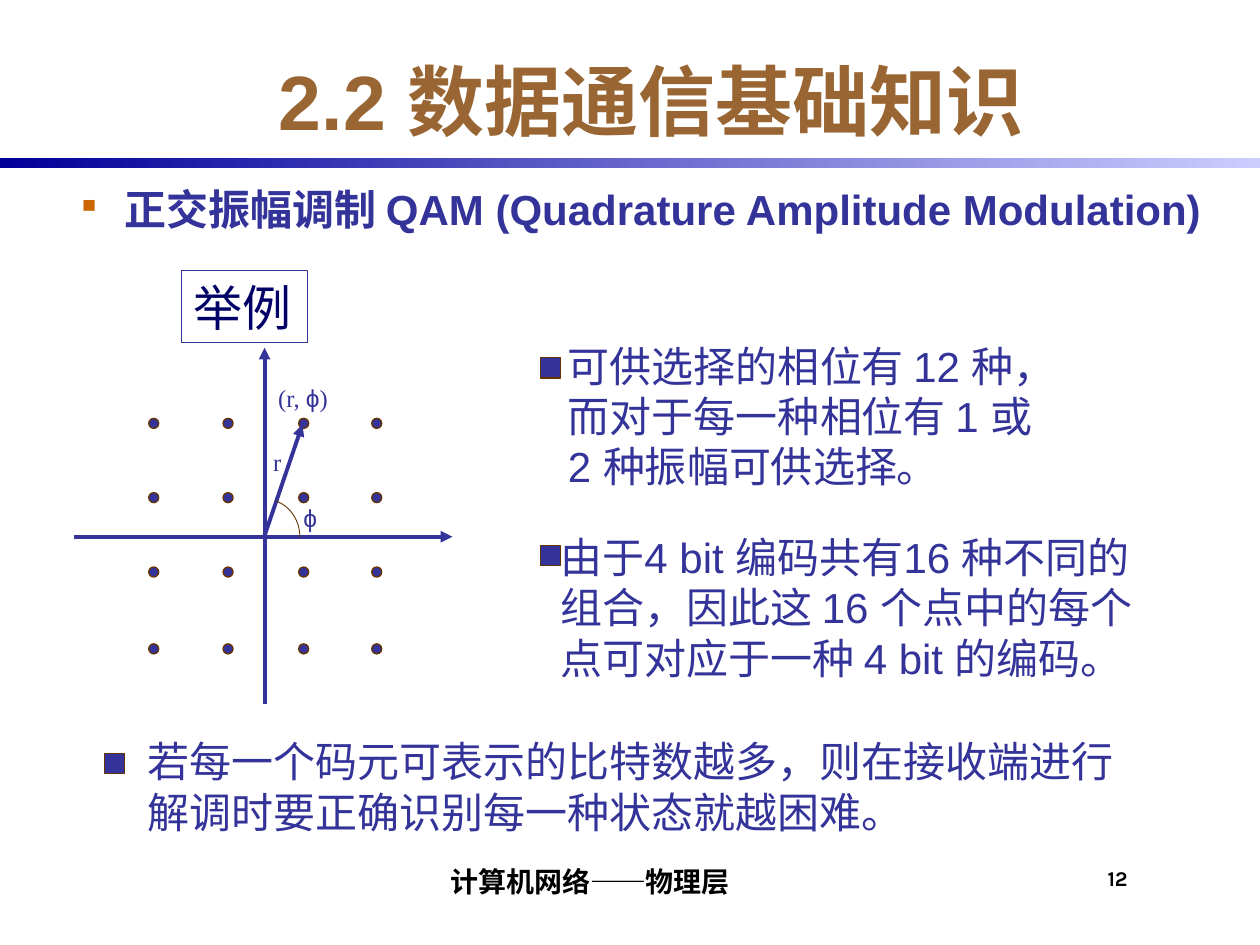
import math
from dataclasses import dataclass
from itertools import product

import lxml.etree
import pptx
import pptx.dml.color
import pptx.enum.dml
import pptx.enum.shapes
import pptx.enum.text
import pptx.oxml.ns
import pptx.slide
import pptx.text.text
import pptx.util

Inches = pptx.util.Inches
Pt = pptx.util.Pt
RGBColor = pptx.dml.color.RGBColor
Align = pptx.enum.text.PP_ALIGN
Anchor = pptx.enum.text.MSO_ANCHOR
Fit = pptx.enum.text.MSO_AUTO_SIZE
Kind = pptx.enum.shapes.MSO_SHAPE
qn = pptx.oxml.ns.qn

BLUE = RGBColor(0x33, 0x33, 0x99)
NAVY = RGBColor(0x00, 0x00, 0x66)
DEEP = RGBColor(0x00, 0x00, 0x99)
PALE = RGBColor(0xCC, 0xCC, 0xFF)
BROWN = RGBColor(0x66, 0x33, 0x00)
TAN = RGBColor(0x99, 0x66, 0x33)
BLACK = RGBColor(0x00, 0x00, 0x00)
HAN = "Noto Sans CJK SC"
SERIF = "Times New Roman"
INSETS = (0.1, 0.05, 0.1, 0.05)


@dataclass(frozen=True)
class Box:
    x: float
    y: float
    w: float
    h: float

    def place(self) -> tuple:
        return tuple(Inches(v) for v in (self.x, self.y, self.w, self.h))


@dataclass(frozen=True)
class Note:
    box: Box
    lines: tuple
    size: int = 24
    font: str = "Arial"


@dataclass(frozen=True)
class Arrow:
    start: tuple
    end: tuple


NOTES = (
    Note(Box(2.07, 3.5, 0.26, 0.34), ("r",), 14, SERIF),
    Note(Box(2.31, 3.94, 0.32, 0.34), ("ϕ",), 14),
    Note(Box(2.11, 2.99, 0.61, 0.34),
         ((("(r, ", SERIF), ("ϕ", "Arial"), (")", SERIF)),), 14),
    Note(Box(4.41, 2.65, 4.23, 1.3),
         ("可供选择的相位有 12 种，", "而对于每一种相位有 1 或", "2 种振幅可供选择。")),
    Note(Box(4.35, 4.17, 5.06, 1.3),
         ("由于4 bit 编码共有16 种不同的", "组合，因此这 16 个点中的每个",
          "点可对应于一种 4 bit 的编码。")),
    Note(Box(1.07, 5.79, 7.92, 0.9),
         ("若每一个码元可表示的比特数越多，则在接收端进行",
          "解调时要正确识别每一种状态就越困难。"), 24, HAN),
)
ARROWS = (
    Arrow((2.1, 5.59), (2.1, 2.76)),
    Arrow((0.59, 4.26), (3.59, 4.26)),
    Arrow((2.1, 4.25), (2.4, 3.37)),
)
COLS = (1.18, 1.77, 2.37, 2.95)
ROWS = (3.32, 3.91, 4.5, 5.11)
MARKS = ((0.83, 5.98), (4.29, 4.33), (4.29, 2.84))


def write(frame: pptx.text.text.TextFrame, lines: tuple, *, size: int = 24,
          font: str = "Arial", color: RGBColor = BLUE, bold: bool = False,
          align: Align = Align.LEFT, anchor: Anchor = Anchor.TOP,
          wrap: bool = True, insets: tuple = INSETS) -> None:
    frame.word_wrap = wrap
    frame.auto_size = Fit.NONE if wrap else Fit.SHAPE_TO_FIT_TEXT
    frame.vertical_anchor = anchor
    (frame.margin_left, frame.margin_top,
     frame.margin_right, frame.margin_bottom) = map(Inches, insets)
    for i, line in enumerate(lines):
        para = frame.add_paragraph() if i else frame.paragraphs[0]
        para.alignment = align
        for words, face in ((line, font),) if isinstance(line, str) else line:
            run = para.add_run()
            run.text = words
            run.font.size = Pt(size)
            run.font.name = face
            run.font.bold = bold
            run.font.color.rgb = color
            lxml.etree.SubElement(run.font._element, qn("a:ea"), typeface=HAN)


def add_text(slide: pptx.slide.Slide, box: Box, lines: tuple, **form):
    shape = slide.shapes.add_textbox(*box.place())
    write(shape.text_frame, lines, **form)
    return shape


def add_mark(slide: pptx.slide.Slide, kind: Kind, box: Box) -> None:
    shape = slide.shapes.add_shape(kind, *box.place())
    shape.shadow.inherit = False
    shape.fill.solid()
    shape.fill.fore_color.rgb = BLUE
    shape.line.color.rgb = BROWN
    shape.line.width = Pt(0.75)


def add_arrow(slide: pptx.slide.Slide, arrow: Arrow) -> None:
    ends = (Inches(v) for v in arrow.start + arrow.end)
    link = slide.shapes.add_connector(
        pptx.enum.shapes.MSO_CONNECTOR.STRAIGHT, *ends)
    link.line.color.rgb = BLUE
    link.line.width = Pt(2.25)
    props = link._element.spPr
    lxml.etree.SubElement(props.find(qn("a:ln")), qn("a:tailEnd"), type="triangle")
    lxml.etree.SubElement(props, qn("a:effectLst"))


def add_arc(slide: pptx.slide.Slide) -> None:
    turns = [math.radians(72 - 6 * i) for i in range(13)]
    points = [(Inches(2.1 + 0.28 * math.cos(t)), Inches(4.26 - 0.3 * math.sin(t)))
              for t in turns]
    pen = slide.shapes.build_freeform(*points[0])
    pen.add_line_segments(points[1:], close=False)
    arc = pen.convert_to_shape()
    arc.shadow.inherit = False
    arc.fill.background()
    arc.line.color.rgb = BROWN
    arc.line.width = Pt(0.5)


def add_band(slide: pptx.slide.Slide) -> None:
    band = slide.shapes.add_shape(Kind.RECTANGLE, *Box(0, 1.25, 10, 0.08).place())
    band.shadow.inherit = False
    band.line.fill.background()
    band.fill.gradient()
    band.fill.gradient_angle = 0
    for stop, color, spot in zip(band.fill.gradient_stops, (DEEP, PALE), (0, 1)):
        stop.color.rgb = color
        stop.position = spot


def add_topic(slide: pptx.slide.Slide) -> None:
    shape = slide.shapes.add_textbox(*Box(0.51, 1.41, 9.3, 0.5).place())
    props = shape.text_frame.paragraphs[0]._p.get_or_add_pPr()
    props.set("marL", str(Inches(0.38)))
    props.set("indent", str(-Inches(0.38)))
    tint = lxml.etree.SubElement(props, qn("a:buClr"))
    lxml.etree.SubElement(tint, qn("a:srgbClr"), val="CC6600")
    lxml.etree.SubElement(props, qn("a:buSzPct"), val="80000")
    lxml.etree.SubElement(props, qn("a:buChar"), char="▪")
    write(shape.text_frame,
          ("正交振幅调制 QAM (Quadrature Amplitude Modulation)",), bold=True)


def main() -> None:
    deck = pptx.Presentation()
    deck.slide_width, deck.slide_height = Inches(10), Inches(7.5)
    slide = deck.slides.add_slide(deck.slide_layouts[5])
    title = slide.shapes.title
    title.left, title.top, title.width, title.height = Box(0.92, 0.33, 8.5, 0.92).place()
    write(title.text_frame, ("2.2 数据通信基础知识",), size=44, color=TAN,
          bold=True, align=Align.CENTER, anchor=Anchor.MIDDLE)
    add_band(slide)
    add_topic(slide)
    for x, y in product(COLS, ROWS):
        add_mark(slide, Kind.OVAL, Box(x, y, 0.08, 0.08))
    for arrow in ARROWS:
        add_arrow(slide, arrow)
    add_arc(slide)
    for note in NOTES:
        add_text(slide, note.box, note.lines, size=note.size, font=note.font, wrap=False)
    for x, y in MARKS:
        add_mark(slide, Kind.RECTANGLE, Box(x, y, 0.16, 0.16))
    label = add_text(slide, Box(1.44, 2.15, 1, 0.57), ("举例",), size=28,
                     font="Karla", color=NAVY, wrap=False)
    label.line.color.rgb = BLUE
    label.line.width = Pt(0.75)
    add_text(slide, Box(2.08, 6.75, 5.17, 0.42), ("计算机网络——物理层",), size=16,
             font="Karla", color=BLACK, bold=True, align=Align.CENTER,
             anchor=Anchor.BOTTOM, insets=(0.04, 0, 0, 0.04))
    add_text(slide, Box(8.75, 6.83, 0.58, 0.42), ("12",), size=12, font="Karla",
             color=BLACK, bold=True, insets=(0.04, 0.04, 0, 0))
    deck.save("out.pptx")


if __name__ == "__main__":
    main()
